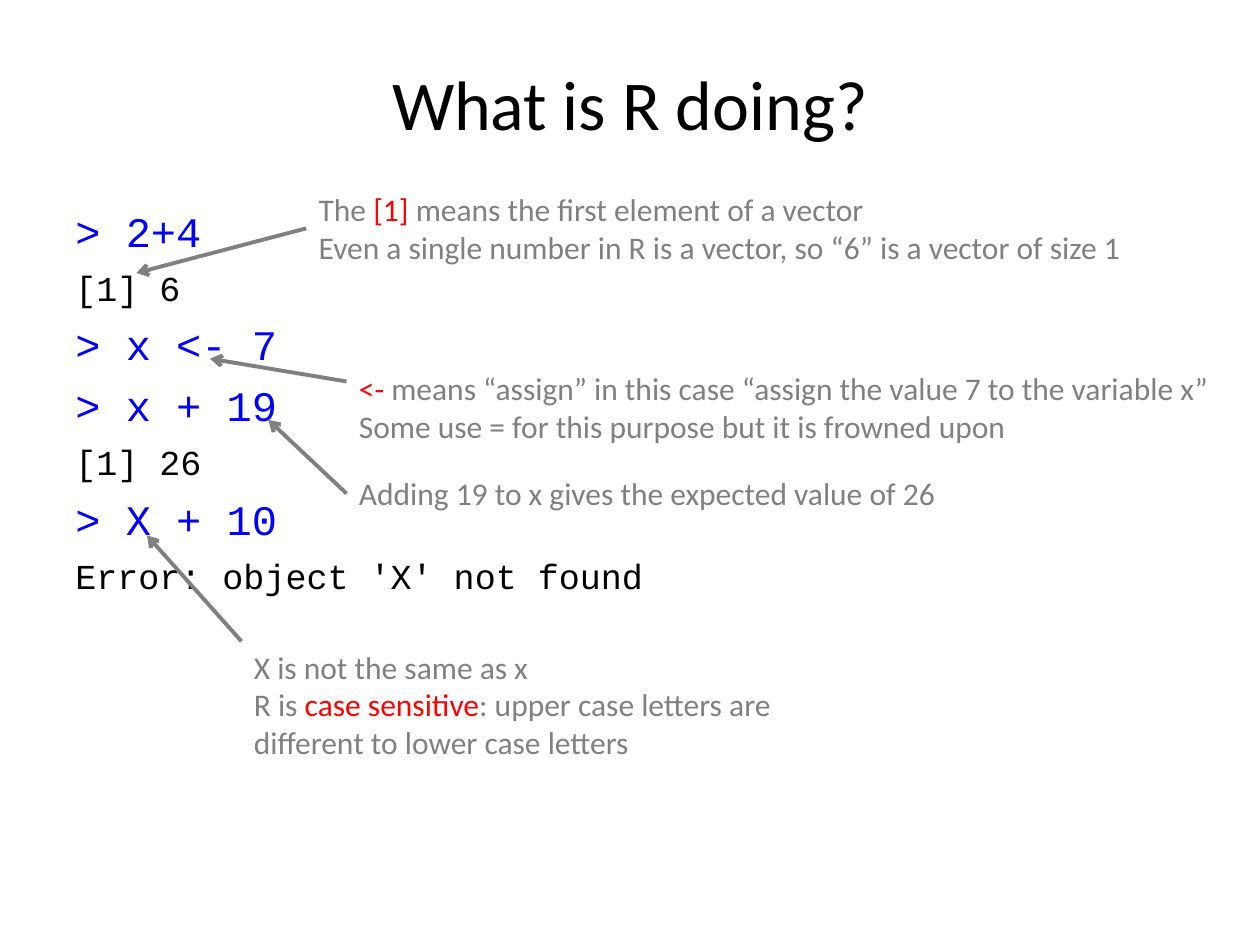
from lxml import etree
from pptx import Presentation
from pptx.dml.color import RGBColor
from pptx.enum.shapes import MSO_CONNECTOR
from pptx.enum.text import MSO_ANCHOR, MSO_AUTO_SIZE, PP_ALIGN
from pptx.oxml.ns import qn
from pptx.util import Pt

STRAIGHT = MSO_CONNECTOR.STRAIGHT
MIDDLE = MSO_ANCHOR.MIDDLE
GROW = MSO_AUTO_SIZE.SHAPE_TO_FIT_TEXT
CENTER = PP_ALIGN.CENTER
BLACK = RGBColor(0x00, 0x00, 0x00)
BLUE = RGBColor(0x00, 0x00, 0xFF)
GRAY = RGBColor(0x80, 0x80, 0x80)
RED = RGBColor(0xFF, 0x00, 0x00)
LEFT_SIDE = 1

prs = Presentation()
prs.slide_width, prs.slide_height = Pt(720), Pt(540)
slide = prs.slides.add_slide(prs.slide_layouts[6])


def add_text(left, top, width, height, lines, wrap=True):
    box = slide.shapes.add_textbox(Pt(left), Pt(top), Pt(width), Pt(height))
    frame = box.text_frame
    frame.word_wrap = wrap
    for number, line in enumerate(lines):
        paragraph = frame.add_paragraph() if number else frame.paragraphs[0]
        for words, font, size, color in line:
            run = paragraph.add_run()
            run.text = words
            run.font.name = font
            run.font.size = Pt(size)
            run.font.color.rgb = color
    return box


title = add_text(36, 21.6, 648, 74.2, [[("What is R doing?", "Calibri", 40, BLACK)]])
title.text_frame.vertical_anchor = MIDDLE
title.text_frame.paragraphs[0].alignment = CENTER

session_lines = [
    "> 2+4",
    "[1] 6",
    "> x <- 7",
    "> x + 19",
    "[1] 26",
    "> X + 10",
    "Error: object 'X' not found",
]
session = add_text(36, 113.8, 648, 401.8, [
    [(line, "Courier New", 24, BLUE) if line.startswith(">") else (line, "Courier New", 20, BLACK)]
    for line in session_lines
])
for paragraph in session.text_frame.paragraphs:
    paragraph.space_before = Pt(6)

# (box, wrap, lines of (words, color), arrow start, arrow end, joined to the box)
notes = [
    ((175, 105, 479, 51), False,
     [[("The ", GRAY), ("[1] ", RED), ("means the first element of a vector", GRAY)],
      [("Even a single number in R is a vector, so “6” is a vector of size 1", GRAY)]],
     (175, 130.5), (78, 156), True),
    ((198, 207.4, 505.5, 51), False,
     [[("<-", RED), (" means “assign” in this case “assign the value 7 to the variable x”", GRAY)],
      [("Some use = for this purpose but it is frowned upon", GRAY)]],
     (198, 218), (120, 205), False),
    ((198, 267.5, 348, 29), False,
     [[("Adding 19 to x gives the expected value of 26", GRAY)]],
     (198, 282), (153.4, 240), True),
    ((138, 366.5, 316, 72.7), True,
     [[("X is not the same as x", GRAY)],
      [("R is ", GRAY), ("case sensitive", RED),
       (": upper case letters are different to lower case letters", GRAY)]],
     (138, 366.5), (84, 306), False),
]
for place, wrap, lines, start, end, joined in notes:
    note = add_text(*place, [[(words, "Calibri", 18, color) for words, color in line] for line in lines], wrap)
    note.text_frame.auto_size = GROW
    arrow = slide.shapes.add_connector(STRAIGHT, *map(Pt, start + end))
    if joined:
        arrow.begin_connect(note, LEFT_SIDE)
    arrow.line.color.rgb = GRAY
    arrow.line.width = Pt(2.25)
    etree.SubElement(arrow.line._get_or_add_ln(), qn("a:tailEnd"), type="arrow")
    etree.SubElement(arrow._element.spPr, qn("a:effectLst"))

prs.save("out.pptx")
